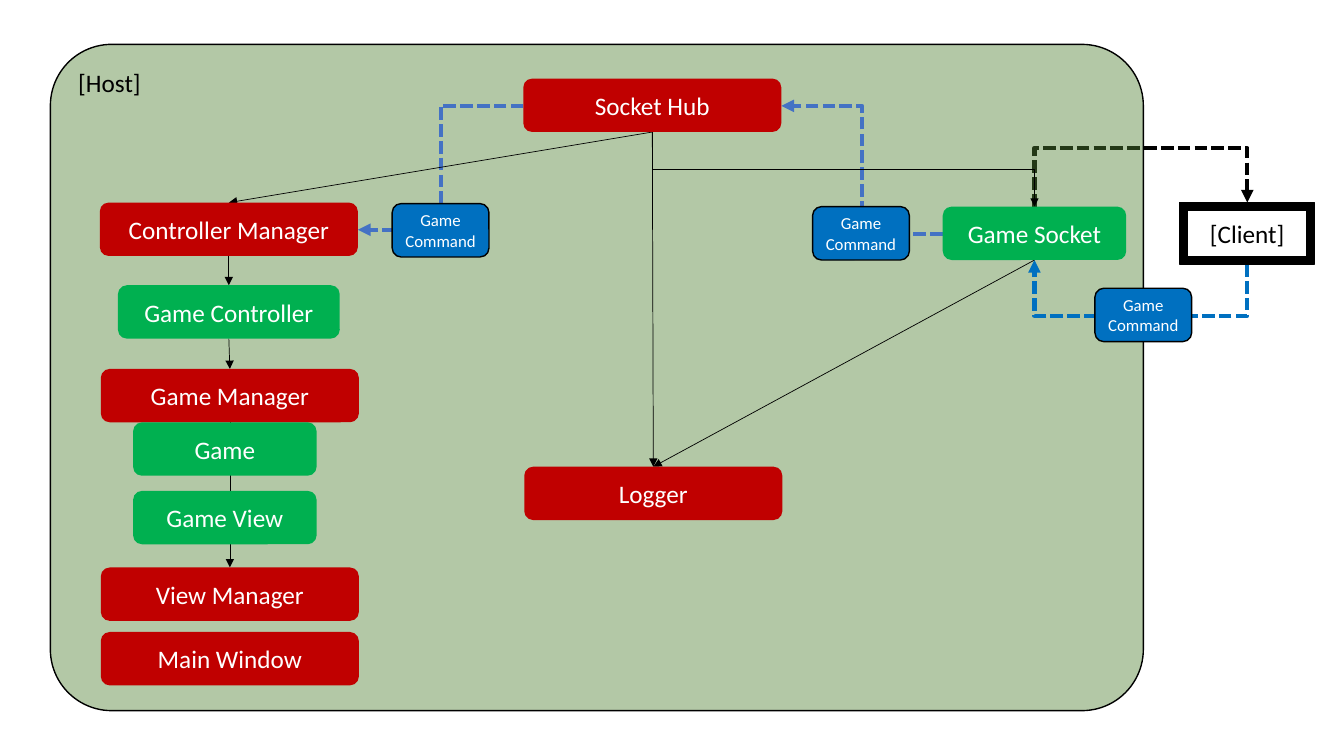
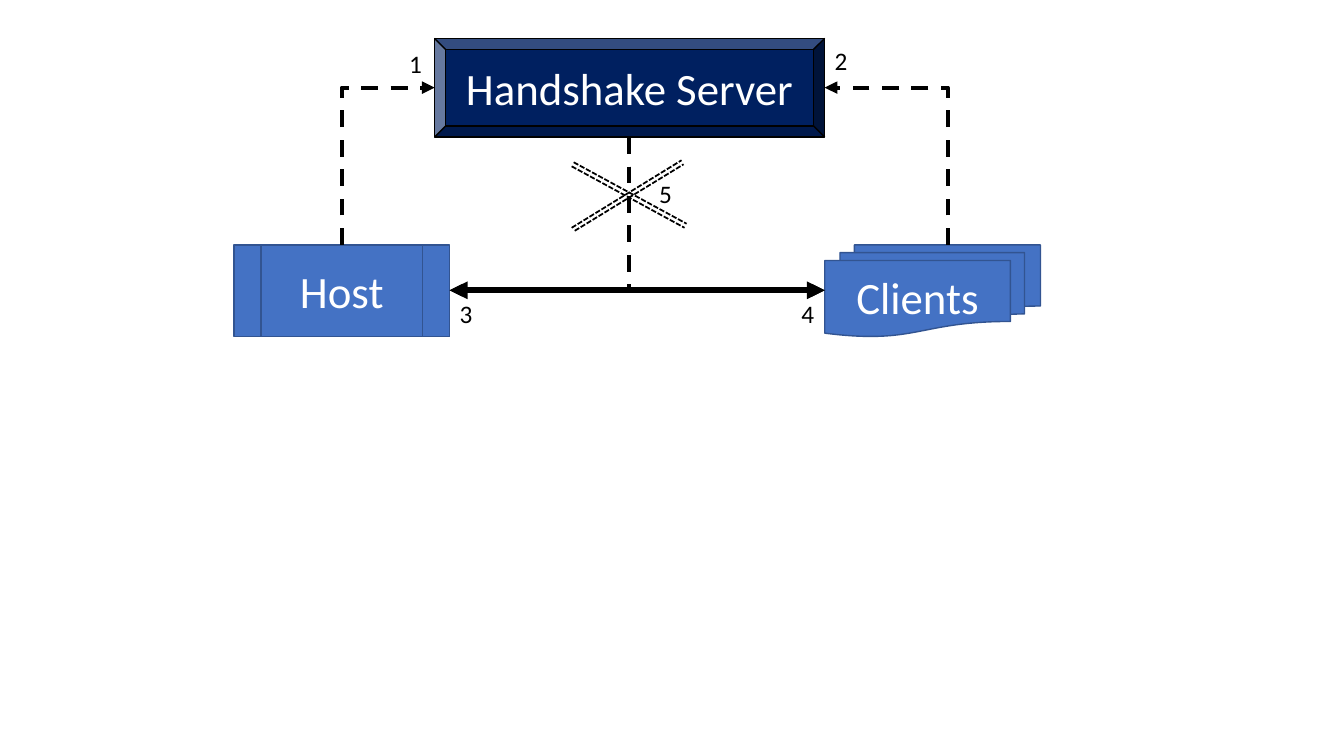
from lxml import etree
from pptx import Presentation
from pptx.dml.color import RGBColor
from pptx.enum.dml import MSO_LINE
from pptx.enum.shapes import MSO_CONNECTOR, MSO_SHAPE
from pptx.enum.text import MSO_ANCHOR, MSO_AUTO_SIZE, PP_ALIGN
from pptx.oxml.ns import qn
from pptx.util import Inches, Pt

ROUNDED = MSO_SHAPE.ROUNDED_RECTANGLE
SHORT_DASH, LONG_DASH = MSO_LINE.SQUARE_DOT, MSO_LINE.DASH
LEFT, CENTER = PP_ALIGN.LEFT, PP_ALIGN.CENTER
TOP, MIDDLE = MSO_ANCHOR.TOP, MSO_ANCHOR.MIDDLE

FONT = "Calibri"
BLACK, WHITE = "000000", "FFFFFF"
RED, GREEN, BLUE = "C00000", "00B050", "0070C0"
ACCENT, ACCENT_EDGE, NAVY, OLIVE = "4472C4", "325491", "002060", "548235"


def add_block(slide, kind, box, text, fill=None, edge=None, size=18,
              color=WHITE, align=CENTER, anchor=MIDDLE):
    """Add a preset shape with text, or a plain text box when kind is None."""
    place = [Inches(length) for length in box]
    if kind is None:
        shape = slide.shapes.add_textbox(*place)
        shape.text_frame.auto_size = MSO_AUTO_SIZE.SHAPE_TO_FIT_TEXT
    else:
        shape = slide.shapes.add_shape(kind, *place)
        shape.shadow.inherit = False
        shape.fill.solid()
        shape.fill.fore_color.rgb = RGBColor.from_string(fill)
        if edge:
            shape.line.color.rgb = RGBColor.from_string(edge)
            shape.line.width = Pt(1)
        else:
            shape.line.fill.background()
    frame = shape.text_frame
    frame.word_wrap = True
    frame.vertical_anchor = anchor
    frame.text = text
    paragraph = frame.paragraphs[0]
    paragraph.alignment = align
    font = paragraph.runs[0].font
    font.name, font.size = FONT, Pt(size)
    font.color.rgb = RGBColor.from_string(color)
    return shape


def add_line(slide, start, end, color=BLACK, width=0.5, dash=None,
             ends=("tailEnd",), preset=None, turn=0, bend=0.5):
    """Add a straight line, or an elbow of the given preset, turn and bend."""
    kind = MSO_CONNECTOR.ELBOW if preset else MSO_CONNECTOR.STRAIGHT
    connector = slide.shapes.add_connector(
        kind, *[Inches(length) for length in (*start, *end)])
    properties = connector.element.spPr
    if preset:
        across_x, across_y = end[0] - start[0], end[1] - start[1]
        upright = turn in (90, 270)
        along, aside = (across_y, -across_x) if upright else (across_x, across_y)
        connector.left = Inches((start[0] + end[0] - abs(along)) / 2)
        connector.top = Inches((start[1] + end[1] - abs(aside)) / 2)
        connector.width, connector.height = Inches(abs(along)), Inches(abs(aside))
        transform = properties.find(qn("a:xfrm"))
        transform.set("rot", str(turn * 60000))
        transform.set("flipH", str(int((along < 0) != (turn >= 180))))
        transform.set("flipV", str(int((aside < 0) != (turn >= 180))))
        geometry = properties.find(qn("a:prstGeom"))
        geometry.set("prst", preset)
        if preset == "bentConnector3":
            guide = etree.SubElement(geometry.find(qn("a:avLst")), qn("a:gd"))
            guide.set("name", "adj1")
            guide.set("fmla", f"val {round(bend * 100000)}")
    connector.line.color.rgb = RGBColor.from_string(color)
    connector.line.width = Pt(width)
    if dash:
        connector.line.dash_style = dash
    outline = properties.find(qn("a:ln"))
    for name in ends:
        etree.SubElement(outline, qn("a:" + name)).set("type", "triangle")
    etree.SubElement(properties, qn("a:effectLst"))
    return connector


presentation = Presentation()
presentation.slide_width, presentation.slide_height = Inches(13.33), Inches(7.5)
blank = presentation.slide_layouts[6]

# Slide 1: parts of the host and the way commands travel
slide = presentation.slides.add_slide(blank)
hub_bottom, logger_top = (6.47, 1.31), (6.48, 4.63)
socket_top, socket_bottom = (10.26, 2.05), (10.26, 2.58)
client_top, client_bottom = (12.37, 2.01), (12.37, 2.62)

add_line(slide, socket_top, client_top, BLACK, 3, SHORT_DASH,
         preset="bentConnector3", turn=90, bend=14.5)
host = add_block(slide, ROUNDED, (0.5, 0.44, 10.84, 6.61), "[Host]", OLIVE,
                 BLACK, color=BLACK, align=LEFT, anchor=TOP)
host.adjustments[0] = 0.092
host_color = host.element.spPr.find(qn("a:solidFill"))[0]
etree.SubElement(host_color, qn("a:alpha")).set("val", "44000")

command_flows = [
    ((5.19, 1.05), (3.55, 2.28), ACCENT, 180, 0.5),
    ((9.35, 2.32), (7.75, 1.05), ACCENT, 180, 0.5),
    (client_bottom, socket_bottom, BLUE, 90, -12.75),
]
for start, end, color, turn, bend in command_flows:
    add_line(slide, start, end, color, 3, SHORT_DASH,
             preset="bentConnector3", turn=turn, bend=bend)

add_line(slide, hub_bottom, socket_top, preset="bentConnector3", turn=270)
for start, end in [
    (hub_bottom, (2.27, 2.01)),
    (hub_bottom, logger_top),
    (socket_bottom, logger_top),
    ((2.27, 2.54), (2.27, 2.83)),
    ((2.27, 3.36), (2.28, 3.66)),
    ((2.28, 4.19), (2.28, 5.63)),
]:
    add_line(slide, start, end)

part_height = 0.53
parts = [
    ("Controller Manager", 0.99, 2.01, 2.56, RED),
    ("Game Controller", 1.17, 2.83, 2.2, GREEN),
    ("Game Manager", 1, 3.66, 2.56, RED),
    ("Game", 1.32, 4.19, 1.82, GREEN),
    ("Game View", 1.32, 4.87, 1.82, GREEN),
    ("View Manager", 1, 5.63, 2.56, RED),
    ("Main Window", 1, 6.27, 2.56, RED),
    ("Socket Hub", 5.19, 0.78, 2.56, RED),
    ("Logger", 5.2, 4.63, 2.56, RED),
    ("Game Socket", 9.35, 2.05, 1.82, GREEN),
]
for name, left, top, width, fill in parts:
    add_block(slide, ROUNDED, (left, top, width, part_height), name, fill)
for left, top in [(3.89, 2.02), (8.06, 2.05), (10.86, 2.86)]:
    add_block(slide, ROUNDED, (left, top, 0.96, part_height), "Game Command",
              BLUE, BLACK, size=12)
add_block(slide, MSO_SHAPE.FRAME, (11.7, 2.01, 1.34, 0.61), "[Client]",
          BLACK, BLACK, color=BLACK)

# Slide 2: handshake between host and clients
slide = presentation.slides.add_slide(blank)
server = add_block(slide, MSO_SHAPE.BEVEL, (4.31, 0.38, 3.87, 0.98),
                   "Handshake Server", NAVY, BLACK, size=32)
server.adjustments[0] = 0.113
for kind, left, name in [
    (MSO_SHAPE.FLOWCHART_MULTIDOCUMENT, 8.18, "Clients"),
    (MSO_SHAPE.FLOWCHART_PREDEFINED_PROCESS, 2.32, "Host"),
]:
    add_block(slide, kind, (left, 2.43, 2.14, 0.91), name, ACCENT,
              ACCENT_EDGE, size=32)

server_bottom, host_side, clients_side = (6.24, 1.36), (4.46, 2.88), (8.18, 2.88)
for start, end, turn in [
    ((9.4, 2.43), (8.18, 0.87), 270),
    ((3.39, 2.43), (4.31, 0.87), 90),
    (server_bottom, host_side, 90),
    (server_bottom, clients_side, 270),
]:
    add_line(slide, start, end, BLACK, 3, LONG_DASH,
             preset="bentConnector2", turn=turn)
add_line(slide, host_side, clients_side, BLACK, 4.25,
         ends=("headEnd", "tailEnd"))

for start, end in [
    ((5.67, 2.26), (6.76, 1.59)),
    ((5.7, 2.29), (6.78, 1.63)),
    ((5.69, 1.61), (6.81, 2.22)),
    ((5.67, 1.65), (6.79, 2.26)),
]:
    add_line(slide, start, end, BLACK, 1.25, SHORT_DASH, ends=())

step_places = [(3.96, 0.43, 0.35), (8.18, 0.4, 0.41), (4.46, 2.91, 0.33),
               (7.85, 2.91, 0.33), (6.44, 1.72, 0.33)]
for number, (left, top, width) in enumerate(step_places, start=1):
    add_block(slide, None, (left, top, width, 0.4), str(number), color=BLACK,
              align=LEFT, anchor=TOP)

presentation.save("out.pptx")
